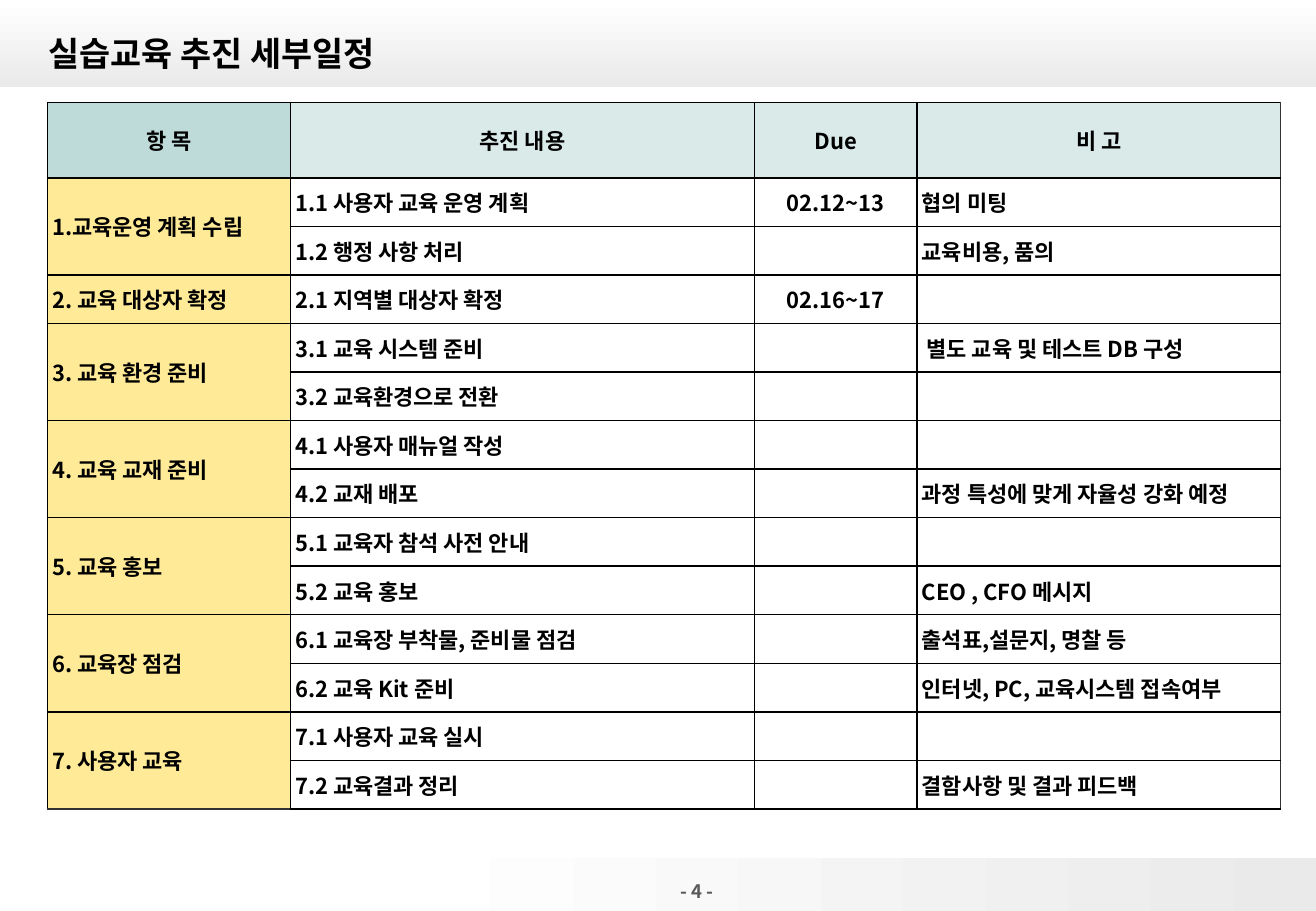
from dataclasses import dataclass

import pptx
import pptx.dml.color
import pptx.enum.shapes
import pptx.enum.text
import pptx.oxml
import pptx.oxml.ns
import pptx.slide
import pptx.table
import pptx.text.text
import pptx.util

Cm = pptx.util.Cm
RGBColor = pptx.dml.color.RGBColor
Align = pptx.enum.text.PP_ALIGN
Anchor = pptx.enum.text.MSO_ANCHOR

FONT = "Noto Sans CJK KR"
BLACK = RGBColor(0x00, 0x00, 0x00)
CHARCOAL = RGBColor(0x33, 0x33, 0x33)
GRAY = RGBColor(0x59, 0x59, 0x59)
SILVER = RGBColor(0xEA, 0xEA, 0xEA)
WHITE = RGBColor(0xFF, 0xFF, 0xFF)
TEAL = RGBColor(0xBF, 0xDB, 0xD9)
PALE_TEAL = RGBColor(0xDA, 0xEA, 0xE9)
YELLOW = RGBColor(0xFF, 0xEB, 0x97)

PAGE_WIDTH, PAGE_HEIGHT = 27.51, 19.05
TABLE_LEFT, TABLE_TOP, TABLE_HEIGHT = 0.99, 2.14, 14.78
HEADER_HEIGHT = 1.58
COLUMN_WIDTHS = (5.08, 9.7, 3.4, 7.6)
HEADERS = ("항 목", "추진 내용", "Due", "비 고")
DUE_COLUMN, NOTE_COLUMN = 2, 3


@dataclass
class Band:
    top: float
    height: float
    angle: int
    white_until: float


@dataclass
class Task:
    content: str
    due: str = ""
    note: str = ""


@dataclass
class Item:
    name: str
    tasks: list[Task]


BANDS = [Band(0, 1.82, 270, 0), Band(17.94, 1.11, 0, 0.31)]

ITEMS = [
    Item("1.교육운영 계획 수립", [
        Task("1.1 사용자 교육 운영 계획", "02.12~13", "협의 미팅"),
        Task("1.2 행정 사항 처리", note="교육비용, 품의")]),
    Item("2. 교육 대상자 확정", [
        Task("2.1 지역별 대상자 확정", "02.16~17")]),
    Item("3. 교육 환경 준비", [
        Task("3.1 교육 시스템 준비", note=" 별도 교육 및 테스트 DB 구성"),
        Task("3.2 교육환경으로 전환")]),
    Item("4. 교육 교재 준비", [
        Task("4.1 사용자 매뉴얼 작성"),
        Task("4.2 교재 배포", note="과정 특성에 맞게 자율성 강화 예정")]),
    Item("5. 교육 홍보", [
        Task("5.1 교육자 참석 사전 안내"),
        Task("5.2 교육 홍보", note="CEO , CFO 메시지")]),
    Item("6. 교육장 점검", [
        Task("6.1 교육장 부착물, 준비물 점검", note="출석표,설문지, 명찰 등"),
        Task("6.2 교육 Kit 준비", note="인터넷, PC, 교육시스템 접속여부")]),
    Item("7. 사용자 교육", [
        Task("7.1 사용자 교육 실시"),
        Task("7.2 교육결과 정리", note="결함사항 및 결과 피드백")]),
]


def add_span(para: pptx.text.text._Paragraph, text: str, size: float, color: RGBColor) -> None:
    span = para.add_run()
    span.text = text
    span.font.size = pptx.util.Pt(size)
    span.font.bold = True
    span.font.color.rgb = color
    span.font.name = FONT
    east_asian = pptx.oxml.parse_xml(
        f'<a:ea {pptx.oxml.ns.nsdecls("a")} typeface="{FONT}"/>')
    span.font.element.append(east_asian) if hasattr(span.font, "element") \
        else span._r.get_or_add_rPr().append(east_asian)


def add_band(page: pptx.slide.Slide, band: Band) -> None:
    box = page.shapes.add_shape(pptx.enum.shapes.MSO_SHAPE.RECTANGLE, 0, Cm(band.top),
                                Cm(PAGE_WIDTH), Cm(band.height))
    box.shadow.inherit = False
    box.line.fill.background()
    box.fill.gradient()
    box.fill.gradient_angle = band.angle
    stops = box.fill.gradient_stops
    for stop, color, position in zip(stops, (WHITE, SILVER), (band.white_until, 1)):
        stop.color.rgb = color
        stop.position = position


def set_borders(cell: pptx.table._Cell, right: RGBColor, bottom: RGBColor) -> None:
    properties = cell._tc.get_or_add_tcPr()
    for side, color in zip("LRTB", (BLACK, right, BLACK, bottom)):
        properties.append(pptx.oxml.parse_xml(
            f'<a:ln{side} {pptx.oxml.ns.nsdecls("a")} w="12700"><a:solidFill>'
            f'<a:srgbClr val="{color}"/></a:solidFill></a:ln{side}>'))


def fill_cell(cell: pptx.table._Cell, text: str, fill: RGBColor | None,
              centered: bool, hanging: bool) -> None:
    cell.vertical_anchor = Anchor.MIDDLE
    cell.margin_left = cell.margin_right = Cm(0.1)
    cell.margin_top = cell.margin_bottom = 0
    if fill is None:
        cell.fill.background()
    else:
        cell.fill.solid()
        cell.fill.fore_color.rgb = fill
    if not text:
        return
    para = cell.text_frame.paragraphs[0]
    para.alignment = Align.CENTER if centered else Align.LEFT
    if hanging:
        properties = para._p.get_or_add_pPr()
        properties.set("marL", str(Cm(1.02)))
        properties.set("indent", str(-Cm(1.02)))
    add_span(para, text, 13, BLACK)


def add_schedule(page: pptx.slide.Slide) -> None:
    task_count = sum(len(item.tasks) for item in ITEMS)
    table = page.shapes.add_table(
        task_count + 1, len(HEADERS), Cm(TABLE_LEFT), Cm(TABLE_TOP),
        Cm(sum(COLUMN_WIDTHS)), Cm(TABLE_HEIGHT)).table
    table.first_row = table.horz_banding = False
    for column, width in zip(table.columns, COLUMN_WIDTHS):
        column.width = Cm(width)
    for row in table.rows:
        row.height = Cm((TABLE_HEIGHT - HEADER_HEIGHT) / task_count)
    table.rows[0].height = Cm(HEADER_HEIGHT)

    # Borders, with a softer outer edge
    for row in range(task_count + 1):
        for column in range(len(HEADERS)):
            set_borders(table.cell(row, column),
                        CHARCOAL if column == NOTE_COLUMN else BLACK,
                        CHARCOAL if column == 0 and row >= task_count - 1 else BLACK)

    # Header row
    for column, text in enumerate(HEADERS):
        fill_cell(table.cell(0, column), text, PALE_TEAL if column else TEAL, True, False)

    # Items, each spanning its tasks
    row = 1
    for item in ITEMS:
        name_cell = table.cell(row, 0)
        if len(item.tasks) > 1:
            name_cell.merge(table.cell(row + len(item.tasks) - 1, 0))
        fill_cell(name_cell, item.name, YELLOW, False, True)
        for task in item.tasks:
            for column, text in enumerate((task.content, task.due, task.note), start=1):
                fill_cell(table.cell(row, column), text, None, column == DUE_COLUMN, True)
            row += 1


def main() -> None:
    deck = pptx.Presentation()
    deck.slide_width, deck.slide_height = Cm(PAGE_WIDTH), Cm(PAGE_HEIGHT)
    page = deck.slides.add_slide(deck.slide_layouts[5])

    # Background bands, kept behind the title
    title = page.shapes.title
    for band in BANDS:
        add_band(page, band)
    page.shapes.element.append(title.element)

    # Page number
    number = page.shapes.add_textbox(Cm(12.9), Cm(18.21), Cm(2.26), Cm(0.84)).text_frame
    number.word_wrap = True
    number.vertical_anchor = Anchor.MIDDLE
    number.paragraphs[0].alignment = Align.RIGHT
    add_span(number.paragraphs[0], "- 4 -", 11, GRAY)

    # Title
    title.left, title.top, title.width, title.height = Cm(0.76), Cm(0.41), Cm(26.59), Cm(1.4)
    title.text_frame.vertical_anchor = Anchor.MIDDLE
    title.text_frame.paragraphs[0].alignment = Align.LEFT
    add_span(title.text_frame.paragraphs[0], "실습교육 추진 세부일정", 20, BLACK)

    add_schedule(page)
    deck.save("out.pptx")


if __name__ == "__main__":
    main()
